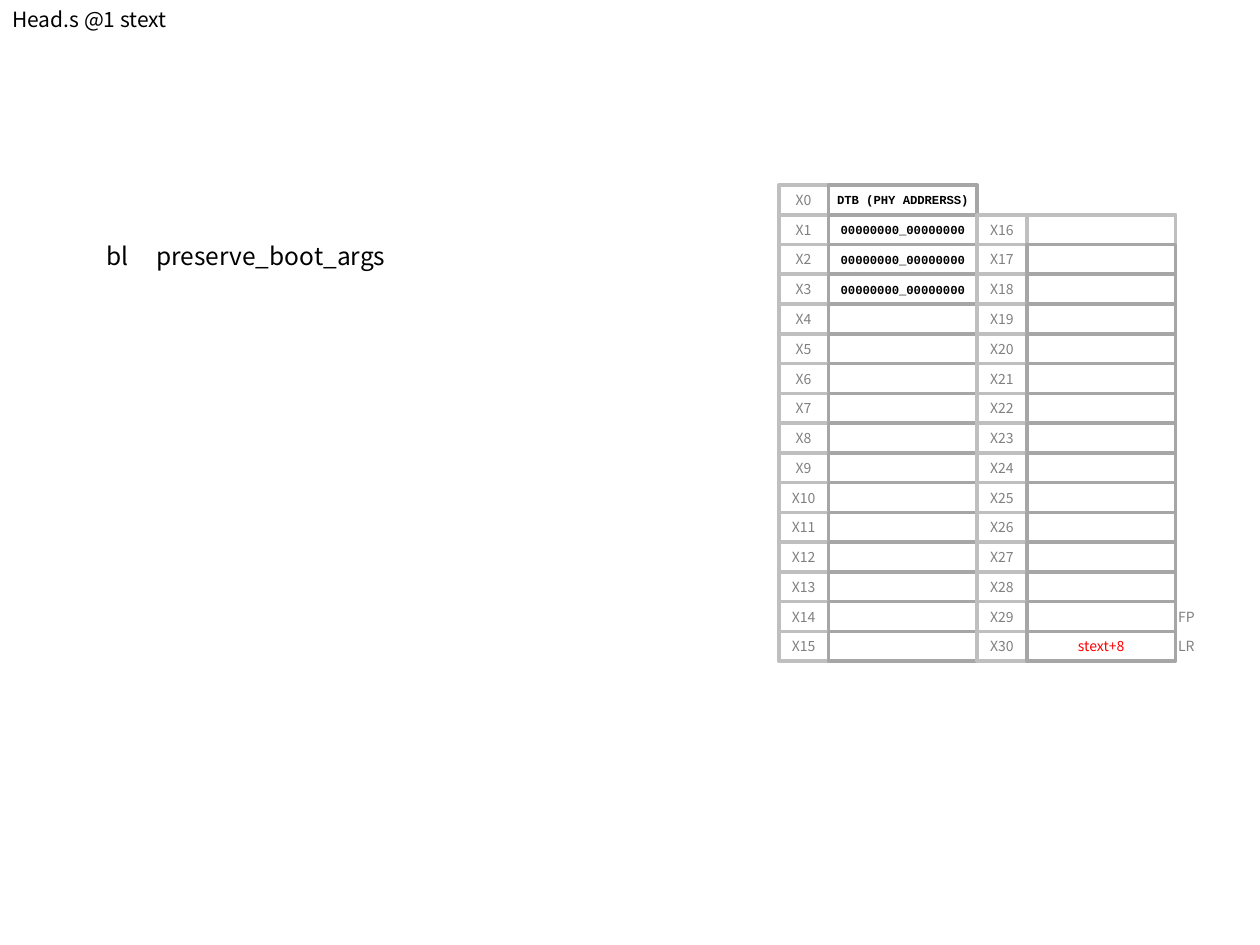
from lxml import etree
from pptx import Presentation
from pptx.dml.color import RGBColor
from pptx.enum import shapes, text
from pptx.oxml.ns import qn
from pptx.util import Cm, Pt

SANS, MONO = "Noto Sans CJK KR", "Courier New"
BLACK = RGBColor(0x00, 0x00, 0x00)
RED = RGBColor(0xFF, 0x00, 0x00)
GRAY = RGBColor(0x80, 0x80, 0x80)
LABEL_LINE = RGBColor(0xBF, 0xBF, 0xBF)
VALUE_LINE = RGBColor(0xA6, 0xA6, 0xA6)

ROW_H, LABEL_W, VALUE_W = 0.6, 1.0, 3.0
MONO_STYLE = dict(font=MONO, size=7, color=BLACK, bold=True)
ZERO = "00000000_00000000"
VALUES = {
    0: ("DTB (PHY ADDRERSS)", MONO_STYLE),
    1: (ZERO, MONO_STYLE),
    2: (ZERO, MONO_STYLE),
    3: (ZERO, MONO_STYLE),
    30: ("stext+8", dict(color=RED)),
}
ALIASES = {29: "FP", 30: "LR"}


def write(sp, content, *, font=SANS, size=8, color=GRAY, bold=False,
          align=text.PP_ALIGN.CENTER, anchor=text.MSO_ANCHOR.MIDDLE,
          wrap=True, inset=0.25):
    tf = sp.text_frame
    tf.word_wrap = wrap
    tf.auto_size = text.MSO_AUTO_SIZE.NONE
    tf.vertical_anchor = anchor
    tf.margin_left = tf.margin_right = Cm(inset)
    tf.margin_top = tf.margin_bottom = Cm(0.13)
    p = tf.paragraphs[0]
    p.alignment = align
    r = p.add_run()
    r.text = content
    r.font.name, r.font.size, r.font.bold = font, Pt(size), bold
    r.font.color.rgb = color
    return p


def add_cell(group, left, top, width, line):
    sp = group.shapes.add_shape(shapes.MSO_SHAPE.RECTANGLE, Cm(left), Cm(top),
                                Cm(width), Cm(ROW_H))
    sp.shadow.inherit = False
    sp.fill.background()
    sp.line.color.rgb = line
    sp.line.width = Pt(2)
    return sp


def add_register(group, number, left, top):
    """Draw one register: its name, its value and, beside it, any alias."""
    label = add_cell(group, left, top, LABEL_W, LABEL_LINE)
    write(label, f"X{number}", wrap=False)
    line = LABEL_LINE if number == 16 else VALUE_LINE
    value = add_cell(group, left + LABEL_W, top, VALUE_W, line)
    if number in VALUES:
        content, style = VALUES[number]
        write(value, content, inset=0.1, **style)
    if number in ALIASES:
        alias = group.shapes.add_textbox(Cm(left + LABEL_W + VALUE_W - 0.2),
                                         Cm(top), Cm(LABEL_W), Cm(ROW_H))
        write(alias, ALIASES[number], align=text.PP_ALIGN.LEFT)


def add_register_file(slide, left, top):
    """Draw X0-X15 and X16-X30 in two columns that end on the same row."""
    group = slide.shapes.add_group_shape()
    for number in range(31):
        column, row = (0, number) if number < 16 else (1, number - 15)
        add_register(group, number, left + column * (LABEL_W + VALUE_W),
                     top + row * ROW_H)


def add_title(slide, left, top, width, height):
    sp = slide.shapes.title
    sp.left, sp.top, sp.width, sp.height = map(Cm, (left, top, width, height))
    write(sp, "Head.s @1 stext", size=12, color=BLACK,
          align=text.PP_ALIGN.LEFT, anchor=text.MSO_ANCHOR.TOP)


def add_instruction(slide, left, top, width, height):
    """Place the mnemonic and, at a tab stop, its operand."""
    sp = slide.shapes.add_textbox(*map(Cm, (left, top, width, height)))
    p = write(sp, "bl\tpreserve_boot_args", size=14, color=BLACK,
              align=text.PP_ALIGN.LEFT, anchor=text.MSO_ANCHOR.TOP)
    tabs = etree.SubElement(p._p.get_or_add_pPr(), qn("a:tabLst"))
    etree.SubElement(tabs, qn("a:tab"), pos=str(Cm(1)), algn="l")


def main():
    prs = Presentation()
    prs.slide_width, prs.slide_height = Cm(25.4), Cm(19.05)
    slide = prs.slides.add_slide(prs.slide_layouts[5])
    add_title(slide, 0, 0, 7.5, 0.76)
    add_instruction(slide, 1.9, 4.72, 6.3, 1.45)
    add_register_file(slide, 15.7, 3.73)
    prs.save("out.pptx")


if __name__ == "__main__":
    main()
